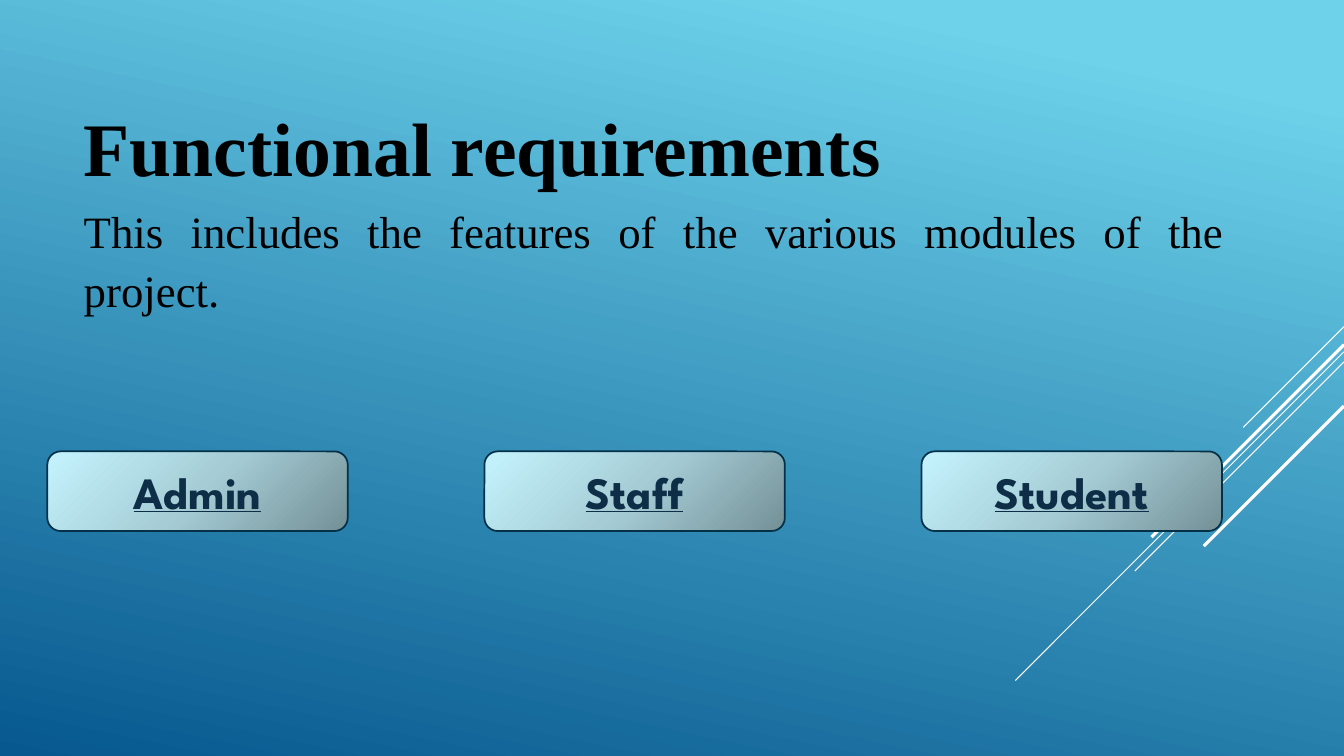
from lxml import etree
from pptx import Presentation
from pptx.dml.color import RGBColor
from pptx.enum.shapes import MSO_CONNECTOR, MSO_SHAPE
from pptx.enum.text import MSO_ANCHOR, MSO_AUTO_SIZE, PP_ALIGN
from pptx.oxml.ns import qn
from pptx.util import Pt

LINE = MSO_CONNECTOR.STRAIGHT
ROUND = MSO_SHAPE.ROUNDED_RECTANGLE
TOP, MIDDLE = MSO_ANCHOR.TOP, MSO_ANCHOR.MIDDLE
CENTER, JUSTIFY = PP_ALIGN.CENTER, PP_ALIGN.JUSTIFY
FIXED = MSO_AUTO_SIZE.NONE

WIDE, HIGH = 960, 540
COLORS = {
    "sky": "6ED2EB", "deep": "06588E", "streak": "FFFFFF", "text": "000000",
    "shade": "749097", "mist": "A6CDD6", "glow": "C4F3FE",
    "edge": "043148", "label": "0D2E46",
}


def rgb(name):
    return RGBColor.from_string(COLORS[name])


def blend(fill, root, stops, angle):
    """Give fill, which lies inside the XML element root, a clockwise gradient."""
    fill.gradient()
    fill.gradient_angle = 360 - angle
    items = root.find(".//" + qn("a:gsLst"))
    items.clear()
    for pos, name in stops:
        stop = etree.SubElement(items, qn("a:gs"), pos=str(pos * 1000))
        etree.SubElement(stop, qn("a:srgbClr"), val=COLORS[name])


def write(para, text, font, size, color, bold=False, under=None):
    run = para.add_run()
    run.text = text
    face = run.font
    face.name, face.size, face.bold = font, Pt(size), bold
    face.underline = under
    face.color.rgb = rgb(color)


def place(holder, box, text, size, bold=False):
    """Move a placeholder to box and fill it with one justified paragraph."""
    holder.left, holder.top, holder.width, holder.height = map(Pt, box)
    frame = holder.text_frame
    frame.word_wrap, frame.auto_size = True, FIXED
    frame.vertical_anchor = TOP
    para = frame.paragraphs[0]
    para.alignment, para.line_spacing = JUSTIFY, 1.1
    para.space_before, para.space_after = Pt(0), Pt(8)
    props = para._p.get_or_add_pPr()
    props.set("marL", "0")
    props.set("indent", "0")
    etree.SubElement(props, qn("a:buNone"))
    write(para, text, "Times New Roman", size, "text", bold)


def intro(slide, box):
    left, top, width, height = box
    head = 76
    place(slide.shapes.title, (left, top, width, head),
          "Functional requirements", 54, True)
    place(slide.placeholders[1], (left, top + head, width, height - head),
          "This includes the features of the various modules of the project.", 32)


def streaks(slide, right):
    """Draw diagonals that run down and left from the right edge."""
    for top, run, weight in ((233.3, 72, 0.75), (251.3, 234.7, 0.75),
                             (258.5, 149.4, 0.75), (246.2, 137.5, 2.25),
                             (290, 100.1, 2.25)):
        line = slide.shapes.add_connector(
            LINE, Pt(right), Pt(top), Pt(right - run), Pt(top + run))
        line.line.color.rgb = rgb("streak")
        line.line.width = Pt(weight)
        etree.SubElement(line.element.spPr, qn("a:effectLst"))


def buttons(slide, box, names):
    left, top, width, height = box
    wide = 214.6
    step = (width - wide) / (len(names) - 1)
    for i, name in enumerate(names):
        button = slide.shapes.add_shape(
            ROUND, Pt(left + i * step), Pt(top), Pt(wide), Pt(height))
        button.shadow.inherit = False
        blend(button.fill, button.element,
              ((0, "shade"), (50, "mist"), (100, "glow")), 225)
        button.line.color.rgb = rgb("edge")
        button.line.width = Pt(1.25)
        frame = button.text_frame
        frame.word_wrap, frame.vertical_anchor = True, MIDDLE
        para = frame.paragraphs[0]
        para.alignment = CENTER
        write(para, name, "League Spartan", 32, "label", True, True)


def main():
    deck = Presentation()
    deck.slide_width, deck.slide_height = Pt(WIDE), Pt(HIGH)
    slide = deck.slides.add_slide(deck.slide_layouts[1])
    blend(slide.background.fill, slide.element,
          ((10, "sky"), (100, "deep")), 102)
    streaks(slide, WIDE)
    buttons(slide, (33.8, 322.4, 839, 56.9), ("Admin", "Staff", "Student"))
    intro(slide, (52.6, 62, 829.4, 194))
    deck.save("out.pptx")


if __name__ == "__main__":
    main()
